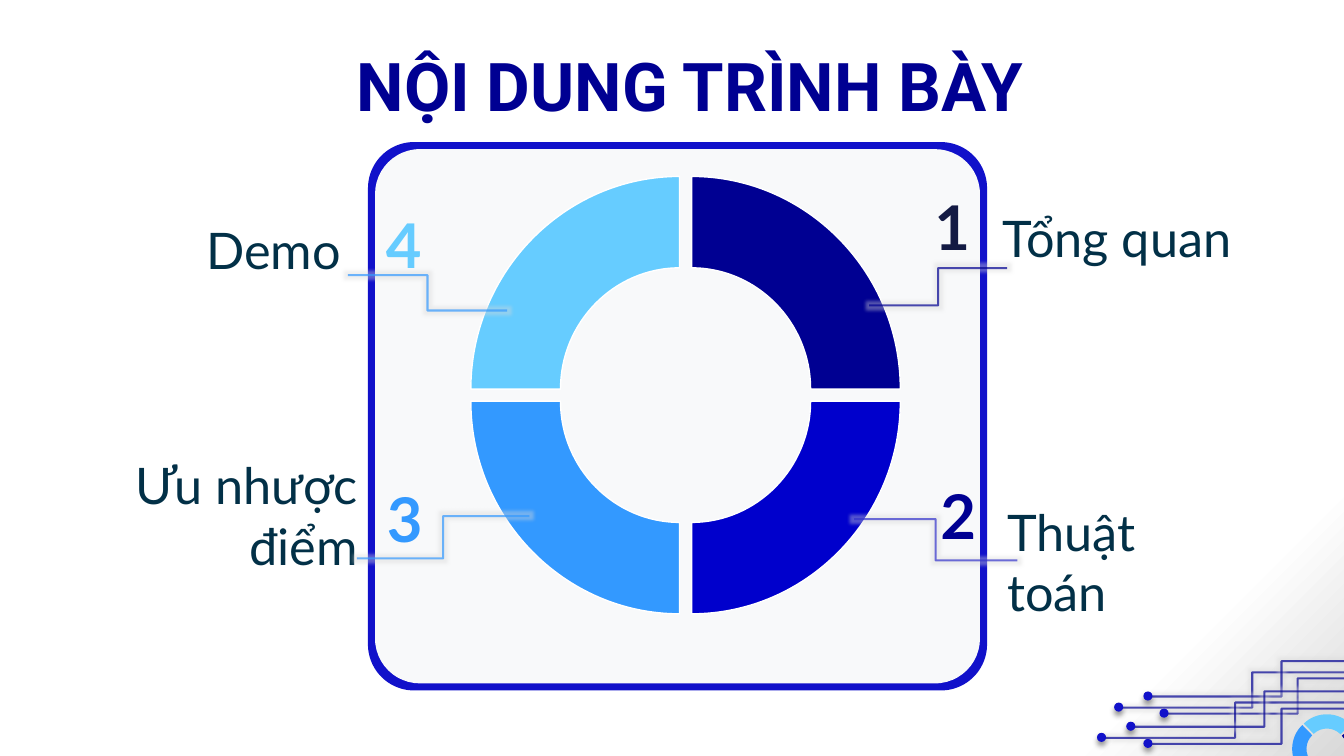
from math import cos, radians, sin

from lxml import etree
from pptx import Presentation
from pptx.dml.color import RGBColor
from pptx.enum.shapes import MSO_CONNECTOR, MSO_SHAPE
from pptx.enum.text import MSO_AUTO_SIZE, PP_ALIGN
from pptx.oxml import parse_xml
from pptx.oxml.ns import nsdecls, qn
from pptx.util import Inches, Pt

COLORS = {
    "navy": "000092", "blue": "0000CC", "azure": "3399FF", "sky": "66CCFF",
    "frame": "1111CA", "panel": "F8F9FA", "label": "023047", "ink": "131A43",
    "violet": "3333CC", "white": "FFFFFF", "grey": "D9D9D9", "black": "000000",
}
QUADRANTS = {"navy": (1, -1), "blue": (1, 1), "azure": (-1, 1), "sky": (-1, -1)}
HOLE = 0.57  # inner radius as a share of the outer one
BEND = 0.55  # handle length that makes a curve a quarter circle

deck = Presentation()
deck.slide_width, deck.slide_height = Inches(13.33), Inches(7.5)
page = deck.slides.add_slide(deck.slide_layouts[6])
shapes = page.shapes

# Background: white, shading to grey in the bottom right corner
page.element.cSld.insert(0, parse_xml(
    f'<p:bg {nsdecls("p", "a")}><p:bgPr><a:gradFill rotWithShape="1"><a:gsLst>'
    f'<a:gs pos="87000"><a:srgbClr val="{COLORS["white"]}"/></a:gs>'
    f'<a:gs pos="100000"><a:srgbClr val="{COLORS["grey"]}"/></a:gs></a:gsLst>'
    '<a:path path="circle"><a:fillToRect r="100000" b="100000"/></a:path>'
    '</a:gradFill><a:effectLst/></p:bgPr></p:bg>'))


def draw_ring(center, radii, gap, turn, colors):
    """Draw the ring quarters of the given colors, turned by degrees."""
    angle = radians(turn)
    outer = [(1, 0), (1, BEND), (BEND, 1), (0, 1)]
    inner = [(HOLE * x, HOLE * y) for x, y in reversed(outer)]
    for color in colors:
        side_x, side_y = QUADRANTS[color]
        mid_x, mid_y = side_x * (gap + radii[0] / 2), side_y * (gap + radii[1] / 2)
        quarter_x = center[0] + mid_x * cos(angle) - mid_y * sin(angle)
        quarter_y = center[1] + mid_x * sin(angle) + mid_y * cos(angle)
        points = [(Inches(quarter_x + side_x * radii[0] * (x - 0.5)),
                   Inches(quarter_y + side_y * radii[1] * (y - 0.5)))
                  for x, y in outer + inner]
        builder = shapes.build_freeform(*points[0])
        builder.add_line_segments(points[1:], close=True)
        quarter = builder.convert_to_shape()
        # Turn the three segments of each arc into one curve
        segments = list(quarter._element.iter(qn("a:lnTo")))
        for arc in (segments[:3], segments[4:7]):
            curve = etree.Element(qn("a:cubicBezTo"))
            arc[0].addprevious(curve)
            for segment in arc:
                curve.append(segment[0])
                segment.getparent().remove(segment)
        quarter.rotation = turn
        quarter.shadow.inherit = False
        quarter.fill.solid()
        quarter.fill.fore_color.rgb = RGBColor.from_string(COLORS[color])
        if turn:
            quarter.line.fill.background()
        else:
            quarter.line.color.rgb = RGBColor.from_string(COLORS["white"])
            quarter.line.width = Pt(1)


def draw_elbow(start_x, start_y, end_x, end_y, color):
    """Draw a translucent bent line with a soft pale glow."""
    elbow = shapes.add_connector(
        MSO_CONNECTOR.ELBOW, *map(Inches, (start_x, start_y, end_x, end_y)))
    elbow.line.width = Pt(1.5)
    elbow.line.color.rgb = RGBColor.from_string(COLORS[color])
    properties = elbow._element.spPr
    tint = next(properties.iter(qn("a:srgbClr")))
    etree.SubElement(tint, qn("a:alpha")).set("val", "70000")
    properties.append(parse_xml(
        f'<a:effectLst {nsdecls("a")}><a:glow rad="63500"><a:srgbClr '
        f'val="{COLORS["grey"]}"><a:alpha val="40000"/></a:srgbClr></a:glow>'
        '</a:effectLst>'))


# Framed panel
for left, top, width, height, color in [
    (3.65, 1.41, 6.14, 5.44, "frame"),
    (3.72, 1.48, 6, 5.3, "panel"),
]:
    panel = shapes.add_shape(
        MSO_SHAPE.ROUNDED_RECTANGLE, *map(Inches, (left, top, width, height)))
    panel.adjustments[0] = 0.084
    panel.shadow.inherit = False
    panel.fill.solid()
    panel.fill.fore_color.rgb = RGBColor.from_string(COLORS[color])
    panel.line.fill.background()

draw_ring((6.8, 3.92), (2.07, 2.11), 0.06, 0, QUADRANTS)

# Title, section labels and numbers
LEFT, CENTER, RIGHT = PP_ALIGN.LEFT, PP_ALIGN.CENTER, PP_ALIGN.RIGHT
for text, left, top, width, height, align, size, font, color, bold in [
    ("Tổng quan", 9.84, 2.01, 2.5, 0.71, LEFT, 36, "Lato", "label", False),
    ("Thuật toán", 9.89, 4.92, 2.5, 0.71, LEFT, 36, "Lato", "label", False),
    ("Ưu nhược điểm", 0.31, 4.46, 3.34, 1.31, RIGHT, 36, "Lato", "label", False),
    ("Demo", 0.71, 2.12, 2.77, 0.71, RIGHT, 36, "Lato", "label", False),
    ("NỘI DUNG TRÌNH BÀY", 0.18, 0.39, 13.33, 0.91, CENTER, 48, "Roboto", "navy", True),
    ("1", 9.04, 1.83, 0.81, 0.84, CENTER, 44, "Lato", "ink", True),
    ("2", 9.1, 4.69, 0.81, 0.84, CENTER, 44, "Lato", "navy", True),
    ("3", 3.61, 4.72, 0.81, 0.84, CENTER, 44, "Lato", "azure", True),
    ("4", 3.6, 2, 0.81, 0.84, CENTER, 44, "Lato", "sky", True),
]:
    box = shapes.add_textbox(*map(Inches, (left, top, width, height)))
    frame = box.text_frame
    frame.word_wrap = True
    frame.auto_size = MSO_AUTO_SIZE.SHAPE_TO_FIT_TEXT
    frame.text = text
    para = frame.paragraphs[0]
    para.alignment = align
    span = para.runs[0]
    span.font.name, span.font.size, span.font.bold = font, Pt(size), bold
    span.font.color.rgb = RGBColor.from_string(COLORS[color])

# Leader lines between ring quarters and labels
for leader in [
    (8.62, 3.03, 9.99, 2.66, "navy"),
    (8.47, 5.15, 10.09, 5.56, "violet"),
    (3.54, 5.54, 5.25, 5.12, "azure"),
    (3.45, 2.73, 5.03, 3.08, "azure"),
]:
    draw_elbow(*leader)

# Corner decoration: the part of a small turned ring that shows, and circuit traces
draw_ring((13.16, 7.43), (0.33, 0.33), 0.01, 46, ("navy", "azure", "sky"))

DOT = 0.09
for x, y in [(11.1, 7.02), (11.39, 6.91), (11.55, 7.08),
             (10.93, 7.32), (11.22, 7.21), (11.39, 7.38)]:
    draw_elbow(x, y, x + 2.64, y - 0.35, "navy")
    dot = shapes.add_shape(
        MSO_SHAPE.OVAL, *map(Inches, (x - 0.05, y - 0.05, DOT, DOT)))
    dot.fill.solid()
    dot.fill.fore_color.rgb = RGBColor.from_string(COLORS["frame"])
    dot.line.fill.background()
    dot._element.spPr.append(parse_xml(
        f'<a:effectLst {nsdecls("a")}><a:outerShdw blurRad="50800" dist="38100" '
        f'dir="5400000"><a:srgbClr val="{COLORS["black"]}"><a:alpha val="40000"/>'
        '</a:srgbClr></a:outerShdw></a:effectLst>'))

deck.save("out.pptx")
